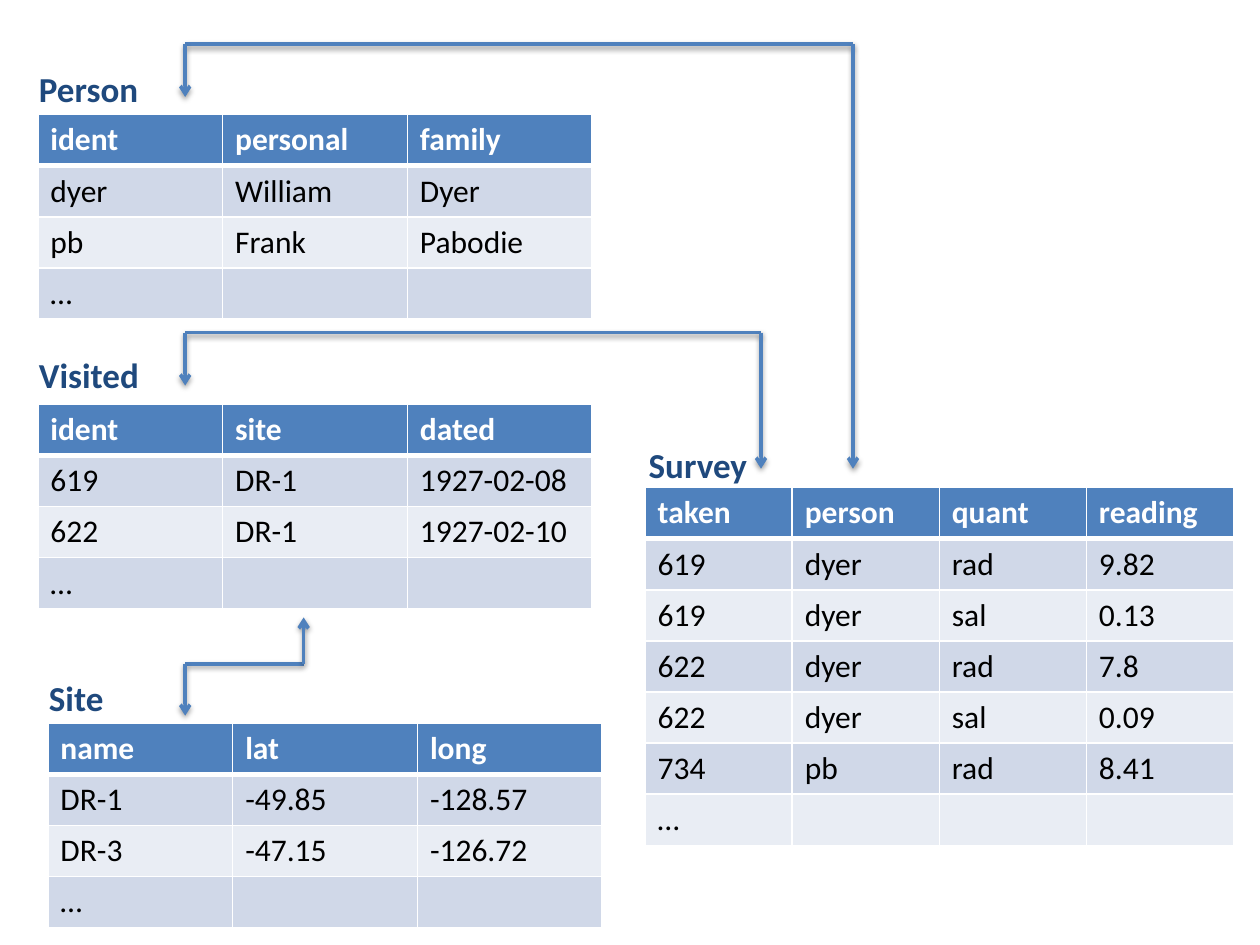
from dataclasses import dataclass

from lxml import etree
from pptx import Presentation
from pptx.dml.color import RGBColor
from pptx.enum.shapes import MSO_CONNECTOR
from pptx.enum.text import MSO_AUTO_SIZE
from pptx.oxml.ns import qn
from pptx.util import Inches, Pt

FONT = "Calibri"
BLUE, NAVY, WHITE, BLACK = "4F81BD", "1F497D", "FFFFFF", "000000"
BANDS = ("D0D8E8", "E9EDF4")
ROW_HEIGHT = 2.84 / 7
NARROW, WIDE = 4.67 / 4, 4.4 / 3  # column widths
MORE = "…"


@dataclass(frozen=True)
class DataTable:
    name: str
    left: float
    top: float
    column_width: float
    label_at: tuple[float, float]
    label_width: float
    rows: tuple[tuple[str, ...], ...]


@dataclass(frozen=True)
class KeyLink:
    """A horizontal rail with an arrow at each end."""
    left: float
    right: float
    rail: float
    left_tip: float
    right_tip: float


TABLES = (
    DataTable("Person", 0.3, 0.91, WIDE, (0.21, 0.49), 1.01, (
        ("ident", "personal", "family"),
        ("dyer", "William", "Dyer"),
        ("pb", "Frank", "Pabodie"),
        (MORE,))),
    DataTable("Site", 0.38, 5.74, WIDE, (0.29, 5.32), 0.64, (
        ("name", "lat", "long"),
        ("DR-1", "-49.85", "-128.57"),
        ("DR-3", "-47.15", "-126.72"),
        (MORE,))),
    DataTable("Survey", 5.12, 3.87, NARROW, (5.05, 3.47), 0.99, (
        ("taken", "person", "quant", "reading"),
        ("619", "dyer", "rad", "9.82"),
        ("619", "dyer", "sal", "0.13"),
        ("622", "dyer", "rad", "7.8"),
        ("622", "dyer", "sal", "0.09"),
        ("734", "pb", "rad", "8.41"),
        (MORE,))),
    DataTable("Visited", 0.3, 3.21, WIDE, (0.21, 2.76), 1.01, (
        ("ident", "site", "dated"),
        ("619", "DR-1", "1927-02-08"),
        ("622", "DR-1", "1927-02-10"),
        (MORE,))),
)

LINKS = (
    KeyLink(1.47, 6.77, 0.35, 0.77, 3.72),
    KeyLink(1.47, 6.04, 2.64, 3.06, 3.72),
    KeyLink(1.47, 2.41, 5.27, 5.68, 4.9),
)


def color(hex_value: str) -> RGBColor:
    return RGBColor.from_string(hex_value)


def write(frame, text: str, size: float, hex_value: str, bold: bool) -> None:
    run = frame.paragraphs[0].add_run()
    run.text = text
    run.font.name, run.font.size, run.font.bold = FONT, Pt(size), bold
    run.font.color.rgb = color(hex_value)


def add_border(cell, side: str, width: float) -> None:
    line = etree.SubElement(cell._tc.get_or_add_tcPr(), qn(f"a:ln{side}"), w=str(Pt(width)))
    fill = etree.SubElement(line, qn("a:solidFill"))
    etree.SubElement(fill, qn("a:srgbClr"), val=WHITE)


def draw_table(slide, data: DataTable) -> None:
    row_count, column_count = len(data.rows), len(data.rows[0])
    table = slide.shapes.add_table(
        row_count, column_count, Inches(data.left), Inches(data.top),
        Inches(data.column_width * column_count), Inches(ROW_HEIGHT * row_count)).table
    for column in table.columns:
        column.width = Inches(data.column_width)
    for r, values in enumerate(data.rows):
        table.rows[r].height = Inches(ROW_HEIGHT)
        header = r == 0
        for c in range(column_count):
            cell = table.cell(r, c)
            # The rule below the header is heavier than the other borders
            widths = {"L": 1, "R": 1, "T": 3 if r == 1 else 1, "B": 3 if header else 1}
            for side, width in widths.items():
                add_border(cell, side, width)
            cell.fill.solid()
            cell.fill.fore_color.rgb = color(BLUE if header else BANDS[(r - 1) % 2])
            if c < len(values):
                write(cell.text_frame, values[c], 18, WHITE if header else BLACK, header)


def draw_label(slide, data: DataTable) -> None:
    left, top = data.label_at
    box = slide.shapes.add_textbox(
        Inches(left), Inches(top), Inches(data.label_width), Inches(0.44))
    box.text_frame.word_wrap = False
    box.text_frame.auto_size = MSO_AUTO_SIZE.SHAPE_TO_FIT_TEXT
    write(box.text_frame, data.name, 20, NAVY, True)


def draw_line(slide, start: tuple[float, float], end: tuple[float, float], arrow: bool) -> None:
    points = [Inches(value) for value in (*start, *end)]
    connector = slide.shapes.add_connector(MSO_CONNECTOR.STRAIGHT, *points)
    connector.line.width = Pt(2)
    connector.line.color.rgb = color(BLUE)
    if arrow:
        etree.SubElement(connector.line._get_or_add_ln(), qn("a:tailEnd"), type="arrow")
    # Soft shadow straight below the line
    effects = etree.SubElement(connector._element.spPr, qn("a:effectLst"))
    shadow = etree.SubElement(effects, qn("a:outerShdw"), blurRad=str(Pt(3.1)),
                              dist=str(Pt(1.6)), dir="5400000", rotWithShape="0")
    tint = etree.SubElement(shadow, qn("a:srgbClr"), val=BLACK)
    etree.SubElement(tint, qn("a:alpha"), val="38000")


def draw_link(slide, link: KeyLink) -> None:
    left_corner, right_corner = (link.left, link.rail), (link.right, link.rail)
    draw_line(slide, left_corner, right_corner, False)
    draw_line(slide, right_corner, (link.right, link.right_tip), True)
    draw_line(slide, left_corner, (link.left, link.left_tip), True)


presentation = Presentation()
presentation.slide_width, presentation.slide_height = Inches(10), Inches(7.5)
slide = presentation.slides.add_slide(presentation.slide_layouts[6])

# Tables, then their names, then the key links
for data in TABLES:
    draw_table(slide, data)
for data in TABLES:
    draw_label(slide, data)
for link in LINKS:
    draw_link(slide, link)

presentation.save("out.pptx")
